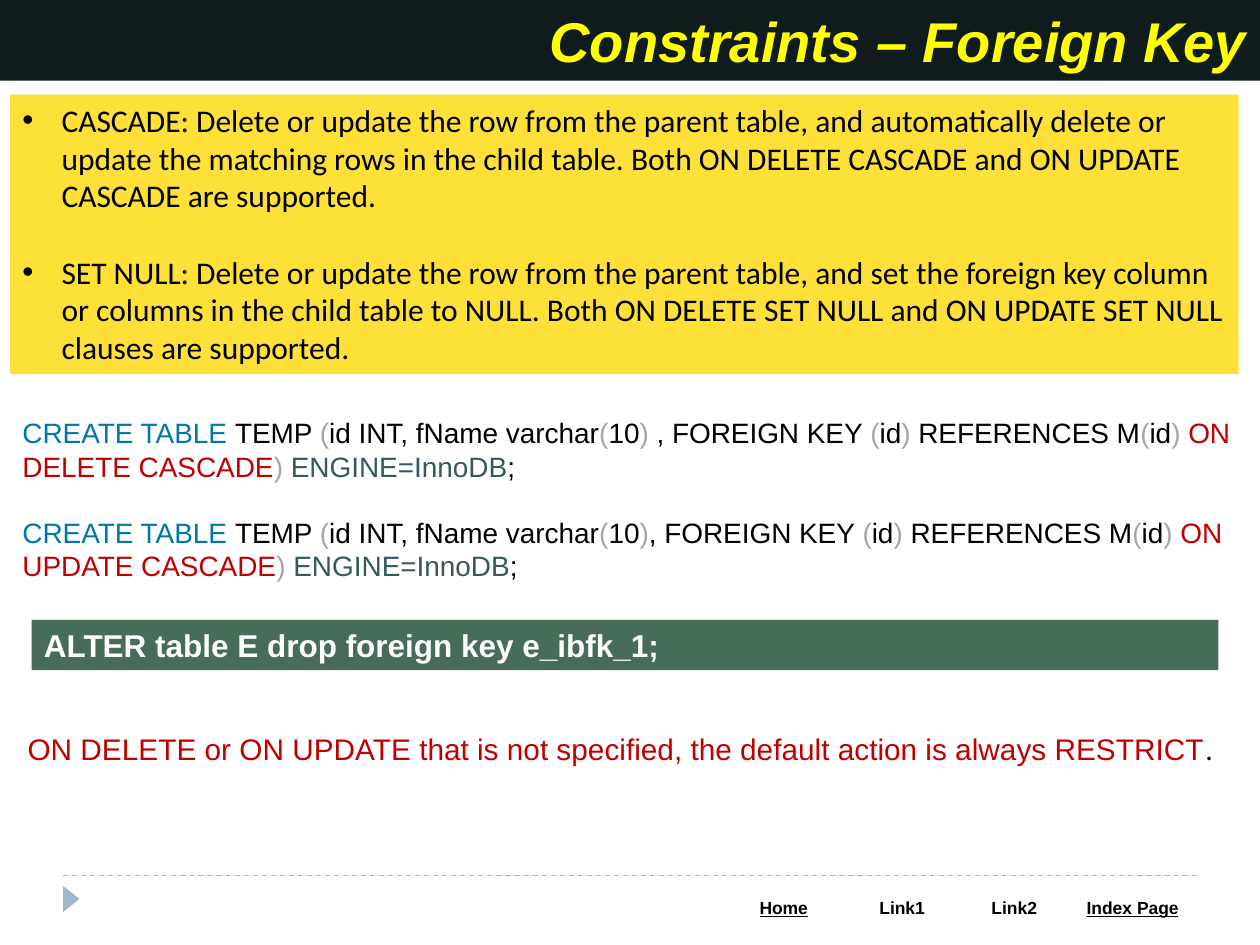
import itertools

import lxml.etree
import pptx
import pptx.dml.color
import pptx.enum.dml
import pptx.enum.shapes
import pptx.enum.text
import pptx.oxml.ns
import pptx.util
from pptx.util import Inches

RGBColor = pptx.dml.color.RGBColor
BLACK = RGBColor(0x00, 0x00, 0x00)
WHITE = RGBColor(0xFF, 0xFF, 0xFF)
NAVY = RGBColor(0x10, 0x1B, 0x1D)
BRIGHT_YELLOW = RGBColor(0xFF, 0xFF, 0x00)
YELLOW = RGBColor(0xFD, 0xE1, 0x39)
GREEN = RGBColor(0x47, 0x6D, 0x59)
PALE_BLUE = RGBColor(0x9F, 0xB8, 0xCD)
KEYWORD_BLUE = RGBColor(0x00, 0x77, 0xAA)
GRAY = RGBColor(0xA6, 0xA6, 0xA6)
RED = RGBColor(0xC0, 0x00, 0x00)
TEAL = RGBColor(0x36, 0x58, 0x60)

ALIGN = pptx.enum.text.PP_ALIGN
ANCHOR = pptx.enum.text.MSO_ANCHOR
SHAPE = pptx.enum.shapes.MSO_SHAPE

ACTIONS = [
    "CASCADE: Delete or update the row from the parent table, and automatically "
    "delete or update the matching rows in the child table. Both ON DELETE CASCADE "
    "and ON UPDATE CASCADE are supported.",
    "SET NULL: Delete or update the row from the parent table, and set the foreign "
    "key column or columns in the child table to NULL. Both ON DELETE SET NULL and "
    "ON UPDATE SET NULL clauses are supported.",
]
# Each statement: text before the foreign key, and its referential action
STATEMENTS = [(" , ", "ON DELETE CASCADE"), (", ", "ON UPDATE CASCADE")]
NAV_LINKS = [("Home", 0.94, True), ("Link1", 0.94, False),
             ("Link2", 0.84, False), ("Index Page", 1.04, True)]


def add_run(p, text, size, color, font="Arial", bold=False):
    r = p.add_run()
    r.text = text
    r.font.size = pptx.util.Pt(size)
    r.font.name = font
    r.font.color.rgb = color
    r.font.bold = bold
    return r


def add_box(s, left, top, width, height, fill=None):
    """Add a top-anchored text box, or a filled rectangle, and return its frame."""
    box = [Inches(v) for v in (left, top, width, height)]
    if fill is None:
        sp = s.shapes.add_textbox(*box)
    else:
        sp = add_filled_shape(s, SHAPE.RECTANGLE, box, fill)
    tf = sp.text_frame
    tf.word_wrap = True
    tf.vertical_anchor = ANCHOR.TOP
    tf.paragraphs[0].alignment = ALIGN.LEFT
    return tf


def add_filled_shape(s, kind, box, fill):
    sp = s.shapes.add_shape(kind, *box)
    sp.shadow.inherit = False
    sp.fill.solid()
    sp.fill.fore_color.rgb = fill
    sp.line.fill.background()
    return sp


def next_paragraph(tf, index, gap):
    """Return the first paragraph, or a new one set off by a gap in points."""
    if index == 0:
        return tf.paragraphs[0]
    p = tf.add_paragraph()
    p.alignment = ALIGN.LEFT
    p.space_before = pptx.util.Pt(gap)
    return p


def add_bullet(p, indent):
    pPr = p._p.get_or_add_pPr()
    pPr.set("marL", str(Inches(indent)))
    pPr.set("indent", str(-Inches(indent)))
    font = lxml.etree.SubElement(pPr, pptx.oxml.ns.qn("a:buFont"))
    font.set("typeface", "Arial")
    lxml.etree.SubElement(pPr, pptx.oxml.ns.qn("a:buChar")).set("char", "•")


def add_title(s, text):
    sp = s.shapes.title
    sp.left, sp.top, sp.width, sp.height = (Inches(v) for v in (0, 0, 10, 0.64))
    sp.fill.solid()
    sp.fill.fore_color.rgb = NAVY
    tf = sp.text_frame
    tf.vertical_anchor = ANCHOR.MIDDLE
    p = tf.paragraphs[0]
    p.alignment = ALIGN.RIGHT
    add_run(p, text, 32, BRIGHT_YELLOW, bold=True).font.italic = True


def add_actions(s):
    tf = add_box(s, 0.08, 0.75, 9.75, 2.22, YELLOW)
    for i, action in enumerate(ACTIONS):
        p = next_paragraph(tf, i, 22)
        add_bullet(p, 0.31)
        add_run(p, action, 18, BLACK, "Calibri")


def add_statements(s):
    tf = add_box(s, 0.08, 3.25, 9.83, 1.45)
    for i, (separator, action) in enumerate(STATEMENTS):
        p = next_paragraph(tf, i, 18.4)
        parts = [
            ("CREATE TABLE ", KEYWORD_BLUE),
            (f"TEMP (id INT, fName varchar(10){separator}"
             "FOREIGN KEY (id) REFERENCES M(id) ", BLACK),
            (action, RED), (") ", BLACK), ("ENGINE=InnoDB", TEAL), (";", BLACK),
        ]
        for text, color in parts:
            # Parentheses are always gray
            for is_paren, chars in itertools.groupby(text, lambda c: c in "()"):
                add_run(p, "".join(chars), 16, GRAY if is_paren else color)


def add_footer(s):
    # Dashed rule and arrow marker
    line = s.shapes.add_connector(pptx.enum.shapes.MSO_CONNECTOR.STRAIGHT,
                                  Inches(0.5), Inches(6.95), Inches(9.5), Inches(6.95))
    line.line.color.rgb = PALE_BLUE
    line.line.width = pptx.util.Pt(0.75)
    line.line.dash_style = pptx.enum.dml.MSO_LINE.DASH
    lxml.etree.SubElement(line._element.spPr, pptx.oxml.ns.qn("a:effectLst"))
    box = [Inches(v) for v in (0.46, 7.07, 0.21, 0.13)]
    add_filled_shape(s, SHAPE.ISOSCELES_TRIANGLE, box, PALE_BLUE).rotation = 90

    # Navigation table
    table = s.shapes.add_table(1, len(NAV_LINKS), Inches(5.75), Inches(7.08),
                               Inches(3.75), Inches(0.27)).table
    for i, (label, width, underlined) in enumerate(NAV_LINKS):
        table.columns[i].width = Inches(width)
        cell = table.cell(0, i)
        cell.fill.solid()
        cell.fill.fore_color.rgb = WHITE
        p = cell.text_frame.paragraphs[0]
        p.alignment = ALIGN.CENTER
        add_run(p, label, 10, BLACK, bold=True).font.underline = underlined


def main():
    prs = pptx.Presentation()
    prs.slide_width, prs.slide_height = Inches(10), Inches(7.5)
    s = prs.slides.add_slide(prs.slide_layouts[5])

    add_footer(s)
    add_title(s, "Constraints – Foreign Key")
    add_actions(s)
    add_statements(s)

    # Dropping a key
    tf = add_box(s, 0.25, 4.92, 9.42, 0.4, GREEN)
    add_run(tf.paragraphs[0], "ALTER table E drop foreign key e_ibfk_1;", 18, WHITE, bold=True)

    # Default action
    p = add_box(s, 0.12, 5.75, 9.75, 0.39).paragraphs[0]
    add_run(p, "ON DELETE or ON UPDATE that is not specified, "
               "the default action is always RESTRICT", 17, RED)
    add_run(p, ".", 17, BLACK, "Calibri")

    prs.save("out.pptx")


if __name__ == "__main__":
    main()
